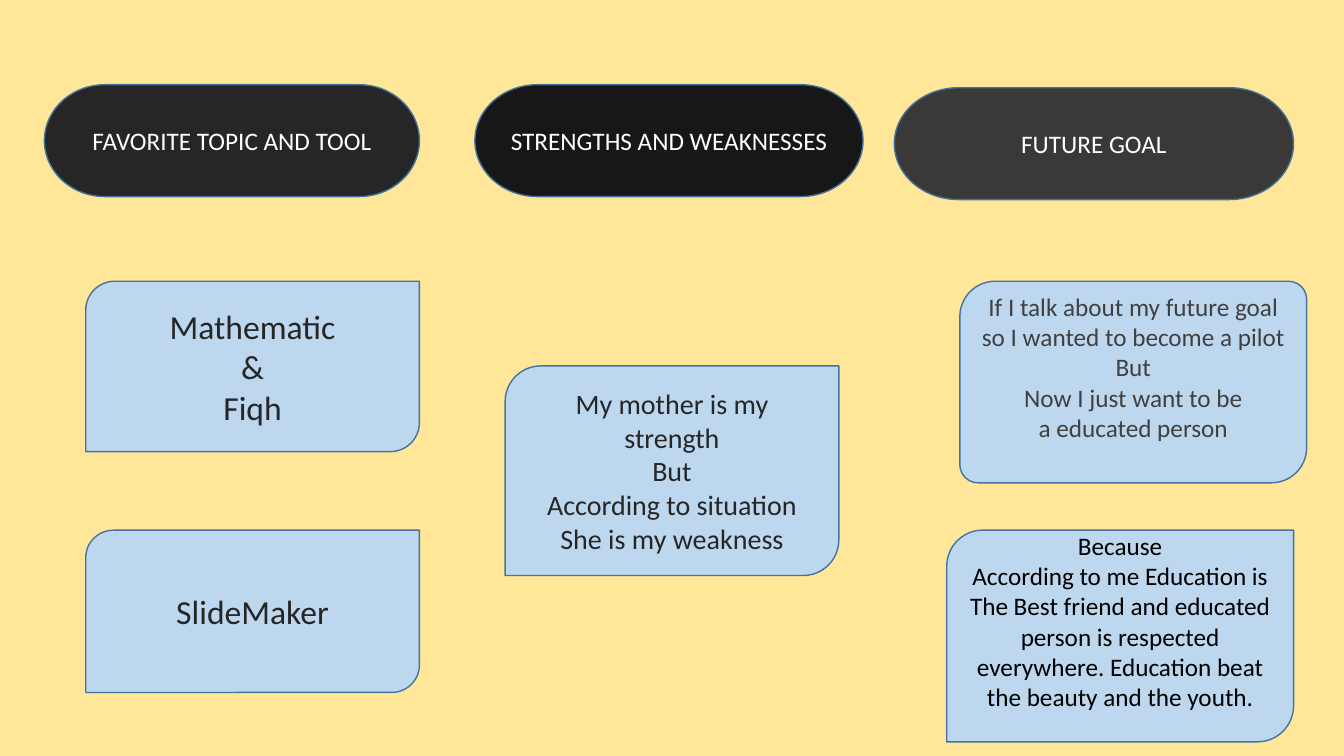
from pptx import Presentation
from pptx.dml.color import RGBColor
from pptx.enum.shapes import MSO_SHAPE
from pptx.enum.text import MSO_ANCHOR, PP_ALIGN
from pptx.util import Inches, Pt

BACKGROUND, CARD, OUTLINE = "FFE699", "BDD7EE", "43739E"

# left, top, width, fill, text
HEADINGS = [
    (0.44, 0.84, 3.72, "262626", "FAVORITE TOPIC AND TOOL"),
    (4.71, 0.84, 3.85, "181717", "STRENGTHS AND WEAKNESSES"),
    (8.87, 0.87, 3.96, "3B3838", "FUTURE GOAL"),
]
HEADING_HEIGHT = 1.11

# (left, top, width, height), text size, text colour, bottom inset, corners, lines
CARDS = [
    ((0.85, 2.79, 3.31, 1.69), 24, "262626", 0.05, (0.17, 0),
     ["Mathematic", "&", "Fiqh"]),
    ((0.85, 5.26, 3.31, 1.61), 24, "262626", 0.05, (0.17, 0),
     ["SlideMaker"]),
    ((5.01, 3.63, 3.31, 2.08), 20, "262626", 0.05, (0.17, 0),
     ["My mother is my strength", "But", "According to situation",
      "She is my weakness"]),
    ((9.52, 2.79, 3.44, 2.0), 18, "404040", 0.35, (0.175, 0.09),
     ["If I talk about my future goal so I wanted to become a pilot",
      "But", "Now I just want to be", "a educated person"]),
    ((9.39, 5.26, 3.44, 2.1), 18, "000000", 0.35, (0.17, 0),
     ["Because", "According to me Education is",
      "The Best friend and educated person is respected everywhere. "
      "Education beat the beauty and the youth."]),
]


def paint(fill, color):
    fill.solid()
    fill.fore_color.rgb = RGBColor.from_string(color)


def add_box(s, kind, box, fill, lines, size, color, bottom=0.05):
    sp = s.shapes.add_shape(kind, *map(Inches, box))
    sp.shadow.inherit = False
    paint(sp.fill, fill)
    paint(sp.line.fill, OUTLINE)
    sp.line.width = Pt(1)
    tf = sp.text_frame
    tf.word_wrap = True
    tf.vertical_anchor = MSO_ANCHOR.MIDDLE
    tf.margin_bottom = Inches(bottom)
    tf.text = "\n".join(lines)
    for p in tf.paragraphs:
        p.alignment = PP_ALIGN.CENTER
        for r in p.runs:
            r.font.name = "Calibri"
            r.font.size = Pt(size)
            paint(r.font.fill, color)
    return sp


prs = Presentation()
prs.slide_width, prs.slide_height = Inches(13.33), Inches(7.5)
s = prs.slides.add_slide(prs.slide_layouts[6])
paint(s.background.fill, BACKGROUND)

for left, top, width, fill, text in HEADINGS:
    add_box(s, MSO_SHAPE.FLOWCHART_TERMINATOR, (left, top, width, HEADING_HEIGHT),
            fill, [text], 18, "FFFFFF")

for box, size, color, bottom, corners, lines in CARDS:
    sp = add_box(s, MSO_SHAPE.ROUND_2_DIAG_RECTANGLE, box, CARD, lines, size,
                 color, bottom)
    sp.adjustments[0], sp.adjustments[1] = corners

prs.save("out.pptx")
